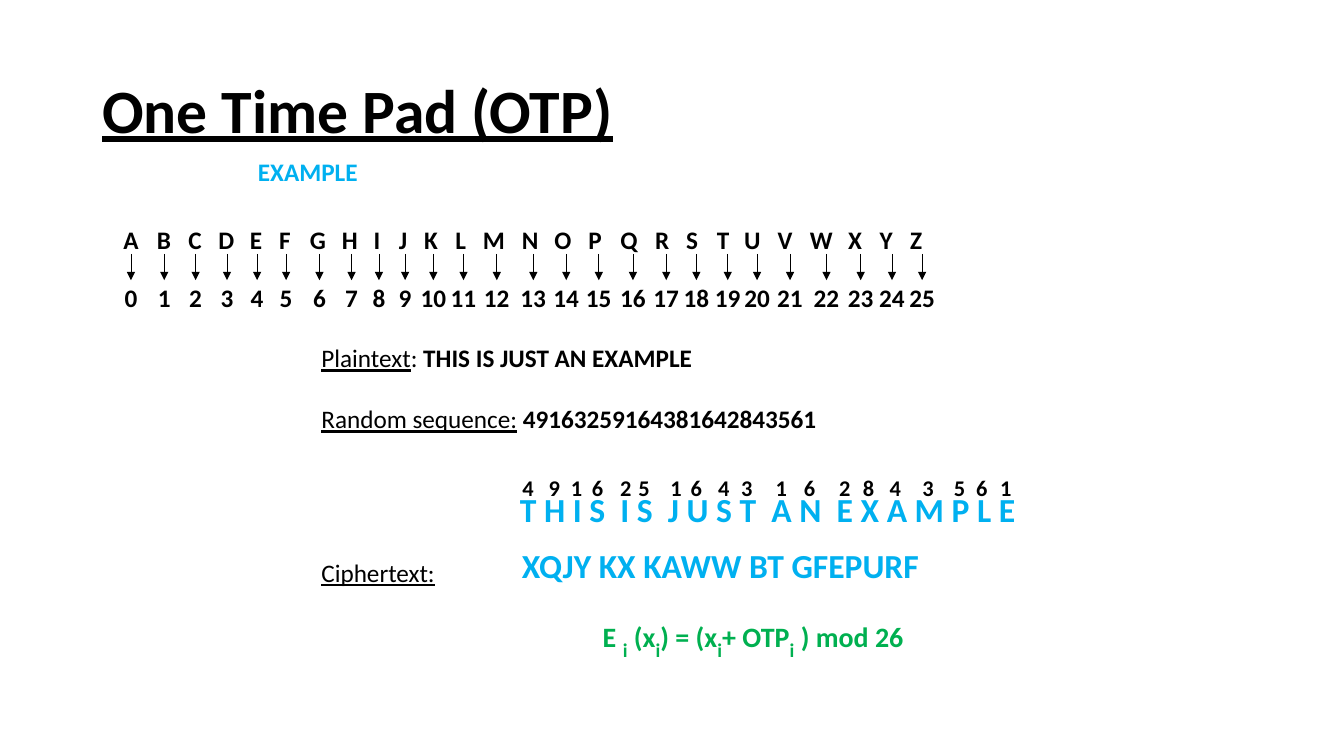
from lxml import etree
from pptx import Presentation
from pptx.dml.color import RGBColor
from pptx.enum.shapes import MSO_CONNECTOR as Connector
from pptx.enum.text import MSO_ANCHOR as Anchor, PP_ALIGN as Align
from pptx.oxml.ns import qn
from pptx.util import Cm, Pt

BLACK = RGBColor(0x00, 0x00, 0x00)
BLUE = RGBColor(0x00, 0xB0, 0xF0)
GREEN = RGBColor(0x00, 0xB0, 0x50)
FONT = "Calibri"
INSET = 0.25

prs = Presentation()
prs.slide_width, prs.slide_height = Cm(33.87), Cm(19.05)
slide = prs.slides.add_slide(prs.slide_layouts[6])


def add_text(left, top, width, height, wrap=True):
    frame = slide.shapes.add_textbox(Cm(left), Cm(top), Cm(width), Cm(height)).text_frame
    frame.word_wrap = wrap
    return frame


def add_run(paragraph, text, size, color=BLACK, **formats):
    run = paragraph.add_run()
    run.text = text
    run.font.color.rgb = color
    for key, value in {"name": FONT, "size": Pt(size), **formats}.items():
        setattr(run.font, key, value)
    return run


# Title and subtitle
title = add_text(2.33, 1.01, 29.21, 3.68)
title.vertical_anchor = Anchor.MIDDLE
title.paragraphs[0].line_spacing = 0.9
add_run(title.paragraphs[0], "One Time Pad (OTP)", 44, bold=True, underline=True)

example = add_text(6.25, 3.81, 8.2, 1.8)
add_run(example.paragraphs[0], "EXAMPLE", 18, BLUE, bold=True)

# Alphabet, one centred tab stop per letter
columns = [3.3, 4.14, 4.93, 5.72, 6.48, 7.21, 8.05, 8.86, 9.55, 10.21, 10.92, 11.68, 12.52,
           13.44, 14.27, 15.09, 15.95, 16.79, 17.55, 18.34, 19.08, 19.91, 20.83, 21.69, 22.48, 23.24]
alphabet_left = 2.16
alphabet = add_text(alphabet_left, 5.53, 22.5, 1.03).paragraphs[0]
tab_stops = etree.SubElement(alphabet._p.get_or_add_pPr(), qn("a:tabLst"))
for number, x in enumerate(columns):
    letter_x = x - 0.15 * number / 25
    etree.SubElement(tab_stops, qn("a:tab"), pos=str(Cm(letter_x - alphabet_left - INSET)), algn="ctr")
add_run(alphabet, "".join("\t" + letter for letter in "ABCDEFGHIJKLMNOPQRSTUVWXYZ"), 18, bold=True)

# Arrows from each letter to its number
for number, x in enumerate(columns):
    arrow = slide.shapes.add_connector(Connector.STRAIGHT, Cm(x), Cm(6.4), Cm(x), Cm(7.06))
    arrow.line.color.rgb = BLACK
    arrow.line.width = Pt(0.5)
    etree.SubElement(arrow.line._get_or_add_ln(), qn("a:tailEnd"), type="triangle")
    etree.SubElement(arrow._element.spPr, qn("a:effectLst"))

    width = 0.84 if number < 10 else 1.17
    value = add_text(x - width / 2, 6.98, width, 1.03, wrap=False).paragraphs[0]
    value.alignment = Align.CENTER
    add_run(value, str(number), 18, bold=True)

# Plaintext, random sequence and ciphertext labels
steps = [
    (0, "Plaintext", ": ", "THIS IS JUST AN EXAMPLE"),
    (22, "Random sequence:", " ", "49163259164381642843561"),
    (88, "Ciphertext:", "", ""),
]
labels = add_text(7.85, 8.51, 14.5, 6.4)
for index, (gap, label, separator, content) in enumerate(steps):
    step = labels.add_paragraph() if index else labels.paragraphs[0]
    step.space_before = Pt(gap)
    add_run(step, label, 18, underline=True)
    if content:
        add_run(step, separator, 18)
        add_run(step, content, 18, bold=True)

# Message with a wider space between words
message = add_text(12.85, 12.19, 14, 1.28).paragraphs[0]
for index, word in enumerate(["THIS", "IS", "JUST", "AN", "EXAMPLE"]):
    if index:
        word_gap = add_run(message, " ", 24, BLUE, bold=True)
        word_gap._r.get_or_add_rPr().set("spc", "540")
    add_run(message, " ".join(word), 24, BLUE, bold=True)

# Key digit above each letter of the message
key_columns = [13.31, 13.97, 14.53, 15.06, 15.77, 16.23, 17.04, 17.55, 18.24, 18.82,
               19.69, 20.4, 21.29, 21.89, 22.56, 23.39, 24.18, 24.74, 25.35]
for digit, x in zip("4916251643162843561", key_columns):
    key = add_text(x - 0.41, 11.83, 0.82, 0.94, wrap=False).paragraphs[0]
    key.alignment = Align.CENTER
    add_run(key, digit, 16, bold=True)

# Ciphertext
ciphertext = add_text(12.9, 13.61, 12, 1.28).paragraphs[0]
add_run(ciphertext, "XQJY KX KAWW BT GFEPURF", 24, BLUE, bold=True)

# Encryption formula with real subscripts
formula = add_text(14.94, 15.34, 9, 1.12).paragraphs[0]
for base, subscript in [("E ", "i"), (" (x", "i"), (") = (x", "i"), ("+ OTP", "i"), (" ) mod 26", "")]:
    add_run(formula, base, 20, GREEN, bold=True)
    if subscript:
        index_run = add_run(formula, subscript, 24, GREEN, bold=True)
        index_run._r.get_or_add_rPr().set("baseline", "-30000")

prs.save("out.pptx")
